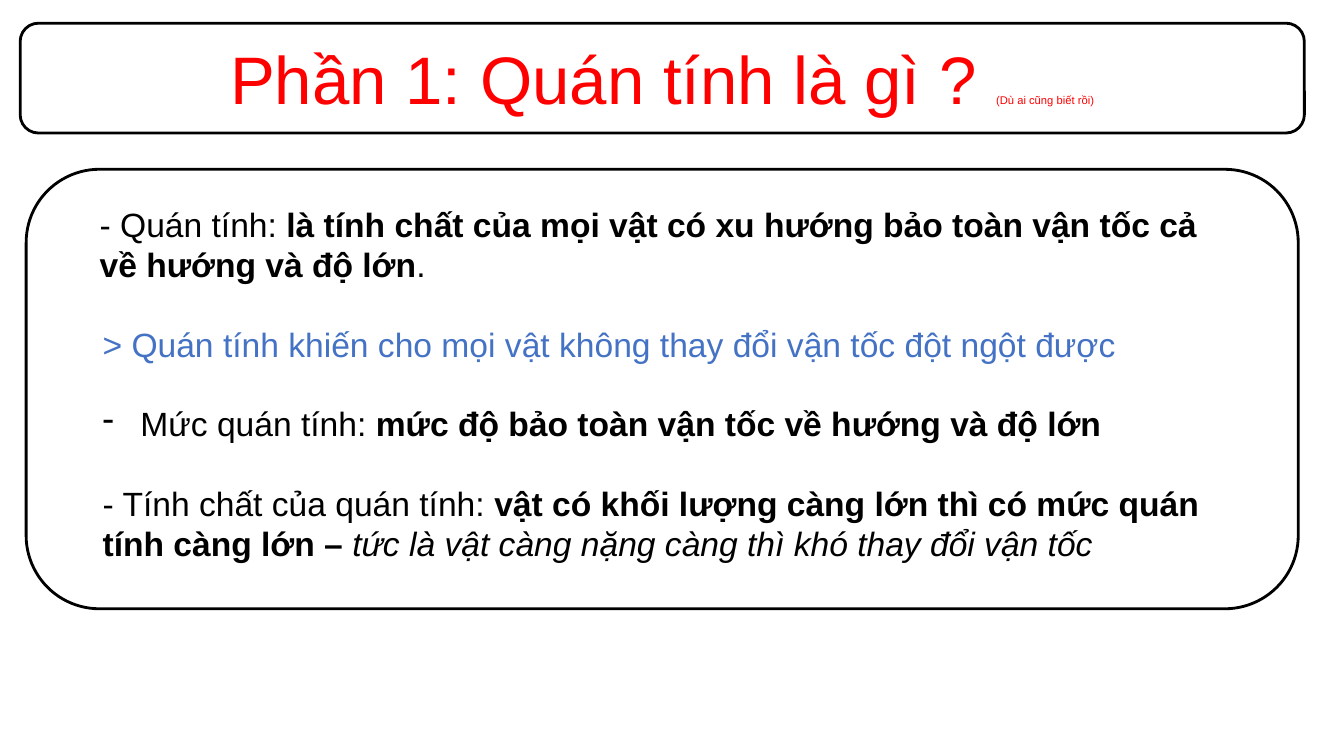
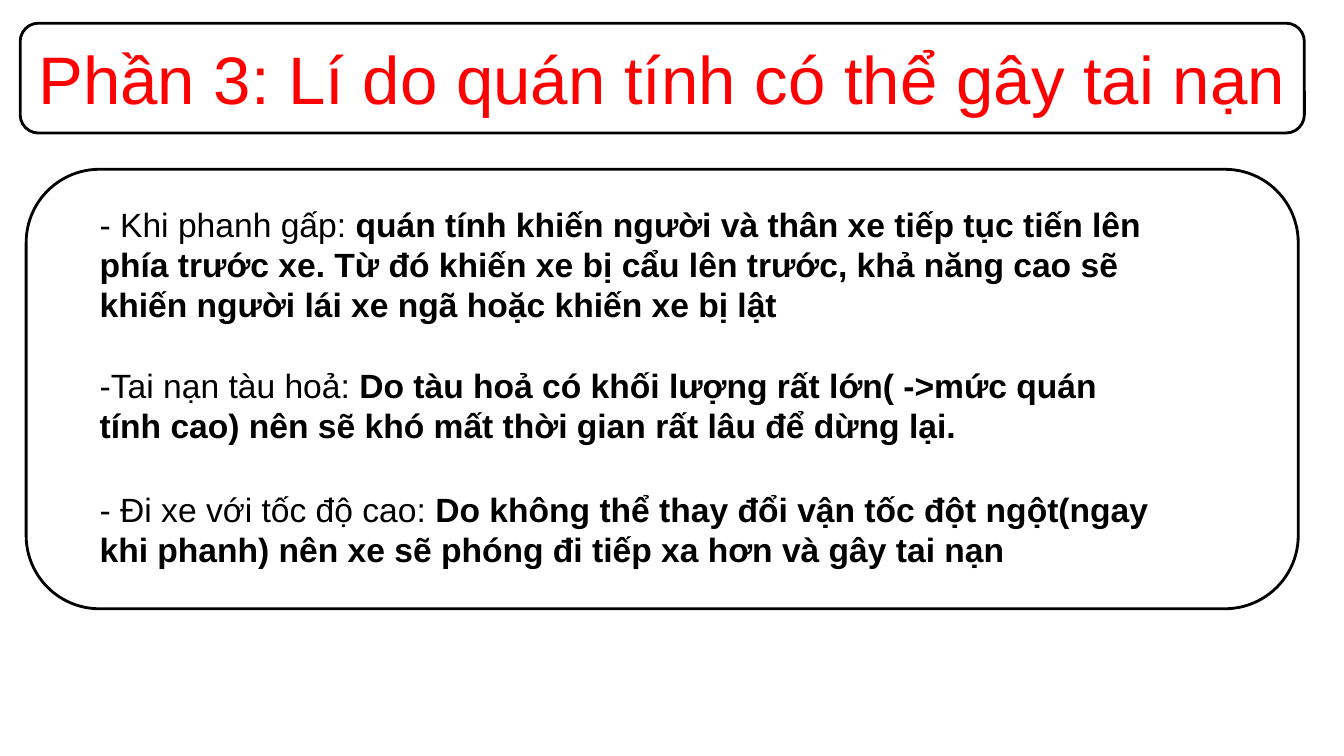
import pptx
import pptx.util
import pptx.dml.color
import pptx.enum.shapes
import pptx.enum.text
import pptx.oxml.ns
import lxml.etree

Pt = pptx.util.Pt
deck = pptx.Presentation()
deck.slide_width = pptx.util.Inches(13.333)
deck.slide_height = pptx.util.Inches(7.5)


def paint(part, color):
    if hasattr(part, "solid"):
        part.solid()
        part = part.fore_color
    else:
        part = part.color
    part.rgb = pptx.dml.color.RGBColor.from_string(color)


def write(para, runs):
    for text, look in runs:
        run = para.add_run()
        run.text = text
        for name, value in {"name": "Arial", **styles[look]}.items():
            if name == "color":
                paint(run.font.fill, value)
            else:
                setattr(run.font, name, value)


body = {"size": Pt(24), "color": "000000"}
styles = {
    "title": {"size": Pt(48), "color": "FF0000"},
    "aside": {"size": Pt(8), "color": "FF0000"},
    "plain": body,
    "bold": {**body, "bold": True},
    "slant": {**body, "italic": True},
    "blue": {**body, "color": "4472C4"},
}
frames = {"title": (1.5, 3.07, 95.55, 14.53), "panel": (1.95, 22.4, 94.65, 58.13)}

pages = [
    {
        "title": [("Phần 1: Quán tính là gì ? ", "title"), ("(Dù ai cũng biết rồi)", "aside")],
        "notes": [
            ((6.68, 26.27, 83.7, 12.13), [
                [("- Quán tính: ", "plain"),
                 ("là tính chất của mọi vật có xu hướng bảo toàn vận tốc cả về hướng và độ lớn", "bold"),
                 (".", "plain")],
            ]),
            ((6.9, 42.13, 83.4, 6.67), [
                [("> Quán tính khiến cho mọi vật không thay đổi vận tốc đột ngột được", "blue")],
            ]),
            ((6.9, 52.67, 83.7, 22.93), [
                [("Mức quán tính: ", "plain"),
                 ("mức độ bảo toàn vận tốc về hướng và độ lớn", "bold")],
                [("- Tính chất của quán tính: ", "plain"),
                 ("vật có khối lượng càng lớn thì có mức quán tính càng lớn – ", "bold"),
                 ("tức là vật càng nặng càng thì khó thay đổi vận tốc", "slant")],
            ]),
        ],
    },
    {
        "title": [("Phần 3: Lí do quán tính có thể gây tai nạn", "title")],
        "notes": [
            ((6.68, 26.27, 83.7, 17.47), [
                [("- Khi phanh gấp: ", "plain"),
                 ("quán tính khiến người và thân xe tiếp tục tiến lên phía trước xe. Từ đó khiến xe bị cẩu lên trước, khả năng cao sẽ khiến người lái xe ngã hoặc khiến xe bị lật", "bold")],
            ]),
            ((6.68, 47.6, 77.55, 12.13), [
                [("-Tai nạn tàu hoả: ", "plain"),
                 ("Do tàu hoả có khối lượng rất lớn( ->mức quán tính cao) nên sẽ khó mất thời gian rất lâu để dừng lại.", "bold")],
            ]),
            ((6.68, 64, 83.7, 12.4), [
                [("- Đi xe với tốc độ cao: ", "plain"),
                 ("Do không thể thay đổi vận tốc đột ngột(ngay khi phanh) nên xe sẽ phóng đi tiếp xa hơn và gây tai nạn", "bold")],
            ]),
        ],
    },
]

sides = (deck.slide_width, deck.slide_height) * 2
for page in pages:
    slide = deck.slides.add_slide(deck.slide_layouts[6])
    for name, frame in frames.items():
        place = [int(side * share / 100) for side, share in zip(sides, frame)]
        shape = slide.shapes.add_shape(pptx.enum.shapes.MSO_SHAPE.ROUNDED_RECTANGLE, *place)
        shape.shadow.inherit = False
        paint(shape.fill, "FFFFFF")
        paint(shape.line, "000000")
        shape.line.width = Pt(2)
        if name == "title":
            shape.text_frame.vertical_anchor = pptx.enum.text.MSO_ANCHOR.MIDDLE
            para = shape.text_frame.paragraphs[0]
            para.alignment = pptx.enum.text.PP_ALIGN.CENTER
            write(para, page["title"])
    for frame, lines in page["notes"]:
        place = [int(side * share / 100) for side, share in zip(sides, frame)]
        text = slide.shapes.add_textbox(*place).text_frame
        text.word_wrap = True
        text.auto_size = pptx.enum.text.MSO_AUTO_SIZE.SHAPE_TO_FIT_TEXT
        for spot, runs in enumerate(lines):
            para = text.add_paragraph() if spot else text.paragraphs[0]
            if spot:
                para.space_before = Pt(28)
            elif len(lines) > 1:
                props = para._p.get_or_add_pPr()
                props.set("marL", str(Pt(27)))
                props.set("indent", str(-Pt(27)))
                mark = lxml.etree.SubElement(props, pptx.oxml.ns.qn("a:buChar"))
                mark.set("char", "-")
            write(para, runs)

deck.save("out.pptx")
